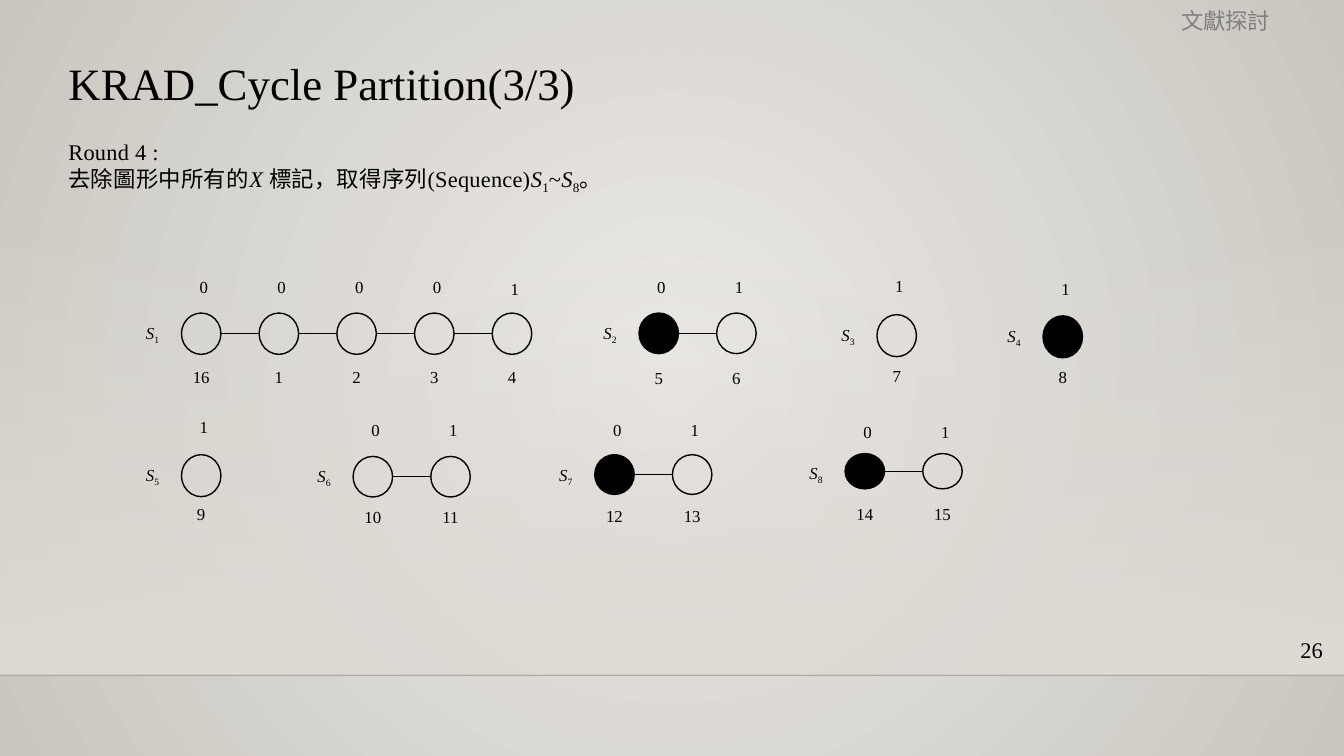
import dataclasses

import lxml.etree
import pptx
import pptx.dml.color
import pptx.enum.shapes
import pptx.enum.text
import pptx.oxml.ns
import pptx.util

Pt = pptx.util.Pt
qn = pptx.oxml.ns.qn
ALIGN = pptx.enum.text.PP_ALIGN
SHAPE = pptx.enum.shapes.MSO_SHAPE


@dataclasses.dataclass(frozen=True)
class Theme:
    font: str = "Times New Roman"
    ink: str = "000000"
    muted: str = "808080"
    bg_center: str = "ECEAE7"
    bg_edge: str = "CAC7C1"
    floor: str = "DFDBD5"
    title_size: float = 32
    body_size: float = 16
    node_size: float = 12


@dataclasses.dataclass(frozen=True)
class Sequence:
    number: str
    left: float
    bits: str
    first_id: int
    node_top: float
    node_height: float
    bit_top: float
    id_top: float
    label_top: float
    black_first: bool = False
    last_bit_drop: float = 0


SEQUENCES = [
    Sequence("1", 129.6, "00001", 0, 223.6, 29.5, 193.8, 258.5, 226.8, last_bit_drop=2),
    Sequence("2", 456.4, "01", 5, 223.6, 29, 194.2, 259, 226.8, black_first=True),
    Sequence("3", 626.4, "1", 7, 224.8, 30, 193.7, 257.8, 228.2),
    Sequence("4", 745, "1", 8, 225.6, 30, 195.3, 258.7, 229, black_first=True),
    Sequence("5", 129.6, "1", 9, 324.8, 30, 293.8, 356.2, 328.3),
    Sequence("6", 252.2, "01", 10, 326, 29, 296.6, 358.5, 329),
    Sequence("7", 424.8, "01", 12, 324.8, 28.4, 296.6, 357.5, 328.3, black_first=True),
    Sequence("8", 603.6, "01", 14, 324, 25.2, 298, 356.4, 326.9, black_first=True),
]

NODE_WIDTH = 28.2
NODE_PITCH = 55.5
CYCLE_LENGTH = 16


def rgb(value):
    return pptx.dml.color.RGBColor.from_string(value)


def set_alpha(color_el, percent):
    alpha = lxml.etree.SubElement(color_el, qn("a:alpha"))
    alpha.set("val", str(percent * 1000))


class Deck:
    def __init__(self, theme):
        self.theme = theme
        self.prs = pptx.Presentation()
        self.prs.slide_width, self.prs.slide_height = Pt(960), Pt(540)
        self.s = self.prs.slides.add_slide(self.prs.slide_layouts[6])

    def background(self):
        fill = self.s.background.fill
        fill.gradient()
        for stop, color in zip(fill.gradient_stops, (self.theme.bg_center, self.theme.bg_edge)):
            stop.color.rgb = rgb(color)
        grad = self.s.element.find(".//" + qn("a:gradFill"))
        grad.remove(grad.find(qn("a:lin")))
        radial = lxml.etree.SubElement(grad, qn("a:path"), {"path": "circle"})
        lxml.etree.SubElement(radial, qn("a:fillToRect"), dict.fromkeys("ltrb", "50000"))

    def fading_panel(self, left, top, width, height):
        sp = self.s.shapes.add_shape(SHAPE.RECTANGLE, Pt(left), Pt(top), Pt(width), Pt(height))
        sp.shadow.inherit = False
        sp.line.fill.background()
        sp.fill.gradient()
        sp.fill.gradient_angle = 270
        for stop in sp.fill.gradient_stops:
            stop.color.rgb = rgb(self.theme.floor)
        set_alpha(sp.element.find(".//" + qn("a:srgbClr")), 0)

    def node(self, parent, left, top, height, black):
        sp = parent.shapes.add_shape(SHAPE.OVAL, Pt(left), Pt(top), Pt(NODE_WIDTH), Pt(height))
        sp.shadow.inherit = False
        if black:
            sp.fill.solid()
            sp.fill.fore_color.rgb = rgb(self.theme.ink)
        else:
            sp.fill.background()
        sp.line.color.rgb = rgb(self.theme.ink)
        sp.line.width = Pt(1)

    def rule(self, parent, x1, x2, y, width, alpha=100):
        line = parent.shapes.add_connector(
            pptx.enum.shapes.MSO_CONNECTOR.STRAIGHT, Pt(x1), Pt(y), Pt(x2), Pt(y))
        line.line.color.rgb = rgb(self.theme.ink)
        line.line.width = Pt(width)
        sp_pr = line.element.find(qn("p:spPr"))
        if alpha < 100:
            set_alpha(sp_pr.find(".//" + qn("a:srgbClr")), alpha)
        lxml.etree.SubElement(sp_pr, qn("a:effectLst"))

    def text(self, parent, box, paragraphs, size, align=ALIGN.LEFT, color=None,
             wrap=True, grow=True, middle=False, spacing=0):
        """Each paragraph is a list of (text, style); style holds i for italic, _ for subscript."""
        tf = parent.shapes.add_textbox(*map(Pt, box)).text_frame
        tf.word_wrap = wrap
        sizing = pptx.enum.text.MSO_AUTO_SIZE
        tf.auto_size = sizing.SHAPE_TO_FIT_TEXT if grow else sizing.NONE
        if middle:
            tf.vertical_anchor = pptx.enum.text.MSO_ANCHOR.MIDDLE
        for i, runs in enumerate(paragraphs):
            p = tf.add_paragraph() if i else tf.paragraphs[0]
            p.alignment = align
            for content, style in runs:
                r = p.add_run()
                r.text = content
                r.font.name = self.theme.font
                r.font.size = Pt(size)
                r.font.color.rgb = rgb(color or self.theme.ink)
                r.font.italic = "i" in style
                r_pr = r.font._element
                if "_" in style:
                    r_pr.set("baseline", "-25000")
                if spacing:
                    r_pr.set("spc", str(round(spacing * 100)))

    def node_text(self, parent, left, top, width, runs):
        self.text(parent, (left, top, width, 22.3), [runs], self.theme.node_size, ALIGN.CENTER)

    def sequence(self, seq):
        group = self.s.shapes.add_group_shape()
        middle = seq.node_top + seq.node_height / 2
        last = len(seq.bits) - 1
        self.node_text(group, seq.left - 36.5, seq.label_top, 31.7, [("S", "i"), (seq.number, "_")])
        for i, bit in enumerate(seq.bits):
            left = seq.left + i * NODE_PITCH
            self.node(group, left, seq.node_top, seq.node_height, seq.black_first and i == 0)
            if i < last:
                self.rule(group, left + NODE_WIDTH, left + NODE_PITCH, middle, 0.75)
            drop = seq.last_bit_drop if i == last else 0
            self.node_text(group, left + 6, seq.bit_top + drop, 16.6, [(bit, "")])
            # The cycle starts at node 16, which stands in for 0
            node_id = str(seq.first_id + i or CYCLE_LENGTH)
            self.node_text(group, left - 4, seq.id_top, NODE_WIDTH + 8, [(node_id, "")])


def main():
    theme = Theme()
    deck = Deck(theme)

    # Backdrop
    deck.background()
    deck.fading_panel(0, 159, 960, 323.4)
    deck.rule(deck.s, 0, 960, 482.4, 1, alpha=20)

    # Explanation
    deck.text(deck.s, (41.8, 95, 692, 46), [
        [("Round 4 :", "")],
        [("去除圖形中所有的", ""), ("X ", "i"), ("標記，取得序列(Sequence)", ""), ("S", "i"),
         ("1", "_"), ("~", ""), ("S", "i"), ("8", "_"), ("。", "")],
    ], theme.body_size, spacing=0.2)

    # Sequences S1 to S8
    for seq in SEQUENCES:
        deck.sequence(seq)

    # Title, page number and section name
    deck.text(deck.s, (41.8, 36, 380, 46), [[("KRAD_Cycle Partition(3/3)", "")]],
              theme.title_size, wrap=False)
    deck.text(deck.s, (917.3, 449.3, 34.6, 28.8), [[("26", "")]],
              theme.body_size, ALIGN.RIGHT, grow=False, middle=True)
    deck.text(deck.s, (799.2, 1.4, 152.6, 26.6), [[("文獻探討", "")]],
              theme.body_size, ALIGN.CENTER, theme.muted)

    deck.prs.save("out.pptx")


if __name__ == "__main__":
    main()
